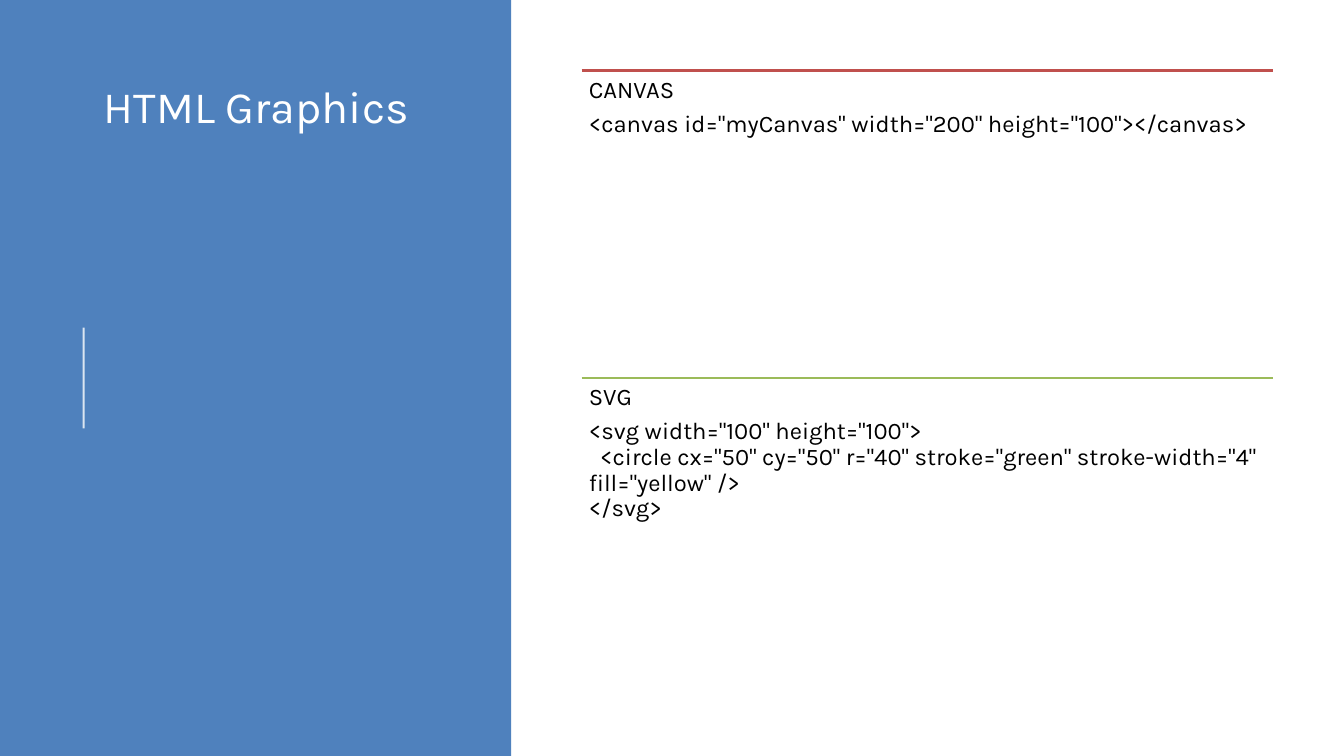
from dataclasses import dataclass

import pptx
import pptx.dml.color
import pptx.enum.shapes
import pptx.enum.text
import pptx.oxml.ns
import pptx.oxml.xmlchemy
import pptx.shapes.connector
import pptx.slide
import pptx.util
from pptx.util import Inches

COLORS = {
    "panel": "4F81BD",
    "white": "FFFFFF",
    "black": "000000",
    "canvas": "C0504D",
    "svg": "9BBB59",
}
FONT = "Karla"
SECTION_LEFT, SECTION_TOP = 5.77, 0.7
SECTION_WIDTH, SECTION_HEIGHT = 6.86, 3.05


@dataclass(frozen=True)
class Section:
    heading: str
    code: str
    color: str


SECTIONS = [
    Section(
        "CANVAS",
        '<canvas id="myCanvas" width="200" height="100"></canvas>',
        "canvas",
    ),
    Section(
        "SVG",
        '<svg width="100" height="100">\n'
        '  <circle cx="50" cy="50" r="40" stroke="green" stroke-width="4" fill="yellow" />\n'
        "</svg>",
        "svg",
    ),
]


def rgb(color: str) -> pptx.dml.color.RGBColor:
    return pptx.dml.color.RGBColor.from_string(COLORS[color])


def add_rule(
    slide: pptx.slide.Slide,
    start: tuple[float, float],
    end: tuple[float, float],
    color: str,
    width: float,
) -> pptx.shapes.connector.Connector:
    rule = slide.shapes.add_connector(
        pptx.enum.shapes.MSO_CONNECTOR.STRAIGHT, *map(Inches, start + end)
    )
    rule.line.color.rgb = rgb(color)
    rule.line.width = pptx.util.Pt(width)
    rule._element.spPr.append(pptx.oxml.xmlchemy.OxmlElement("a:effectLst"))
    return rule


def add_text(
    slide: pptx.slide.Slide,
    box: tuple[float, float, float, float],
    paragraphs: list[str],
    size: float,
    color: str,
    inset: float,
    paragraph_format: dict[str, float],
) -> None:
    frame = slide.shapes.add_textbox(*map(Inches, box)).text_frame
    frame_format = {
        "word_wrap": True,
        "vertical_anchor": pptx.enum.text.MSO_ANCHOR.TOP,
        "margin_left": Inches(inset),
        "margin_top": Inches(inset),
        "margin_right": Inches(inset),
        "margin_bottom": Inches(inset),
    }
    for name, value in frame_format.items():
        setattr(frame, name, value)
    for index, text in enumerate(paragraphs):
        paragraph = frame.add_paragraph() if index else frame.paragraphs[0]
        paragraph.text = text
        for name, value in paragraph_format.items():
            setattr(paragraph, name, value)
        for run in paragraph.runs:
            run.font.name = FONT
            run.font.size = pptx.util.Pt(size)
            run.font.color.rgb = rgb(color)


def add_title_panel(slide: pptx.slide.Slide) -> None:
    panel = slide.shapes.add_shape(
        pptx.enum.shapes.MSO_SHAPE.RECTANGLE, 0, 0, Inches(5.07), Inches(7.5)
    )
    panel.shadow.inherit = False
    panel.fill.solid()
    panel.fill.fore_color.rgb = rgb("panel")
    panel.line.fill.background()

    add_text(slide, (1.03, 0.78, 3.69, 6.02), ["HTML Graphics"], 32, "white", 0, {})

    accent = add_rule(slide, (0.83, 4.25), (0.83, 3.25), "white", 1.5)
    accent_color = accent._element.spPr.find(".//" + pptx.oxml.ns.qn("a:srgbClr"))
    opacity = pptx.oxml.xmlchemy.OxmlElement("a:alpha")
    opacity.set("val", "80000")
    accent_color.append(opacity)


def add_section(slide: pptx.slide.Slide, section: Section, top: float) -> None:
    right = SECTION_LEFT + SECTION_WIDTH
    add_rule(slide, (SECTION_LEFT, top), (right, top), section.color, 2)
    add_text(
        slide,
        (SECTION_LEFT, top, SECTION_WIDTH, SECTION_HEIGHT),
        [section.heading, section.code],
        17,
        "black",
        0.07,
        {"line_spacing": 0.9, "space_after": pptx.util.Pt(6)},
    )


def main() -> None:
    deck = pptx.Presentation()
    deck.slide_width, deck.slide_height = Inches(13.33), Inches(7.5)
    slide = deck.slides.add_slide(deck.slide_layouts[6])
    add_title_panel(slide)
    for index, section in enumerate(SECTIONS):
        add_section(slide, section, SECTION_TOP + index * SECTION_HEIGHT)
    deck.save("out.pptx")


if __name__ == "__main__":
    main()
